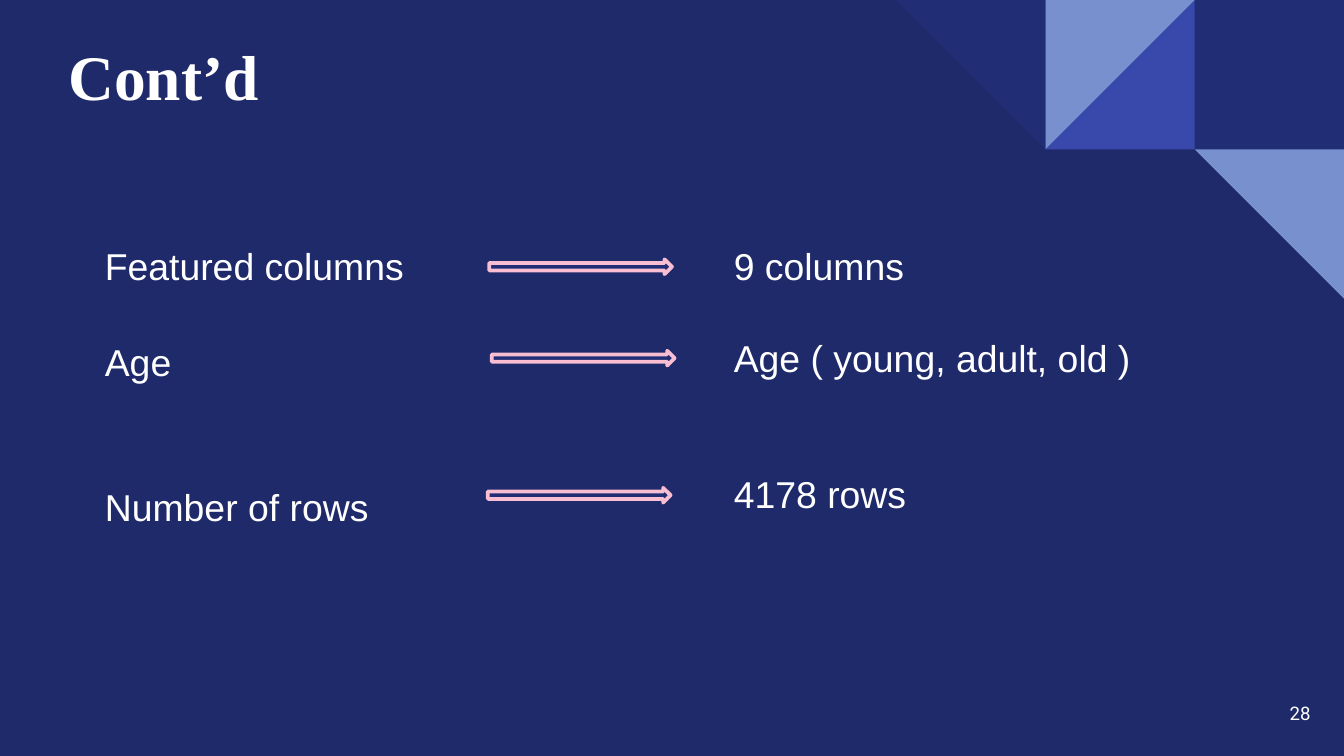
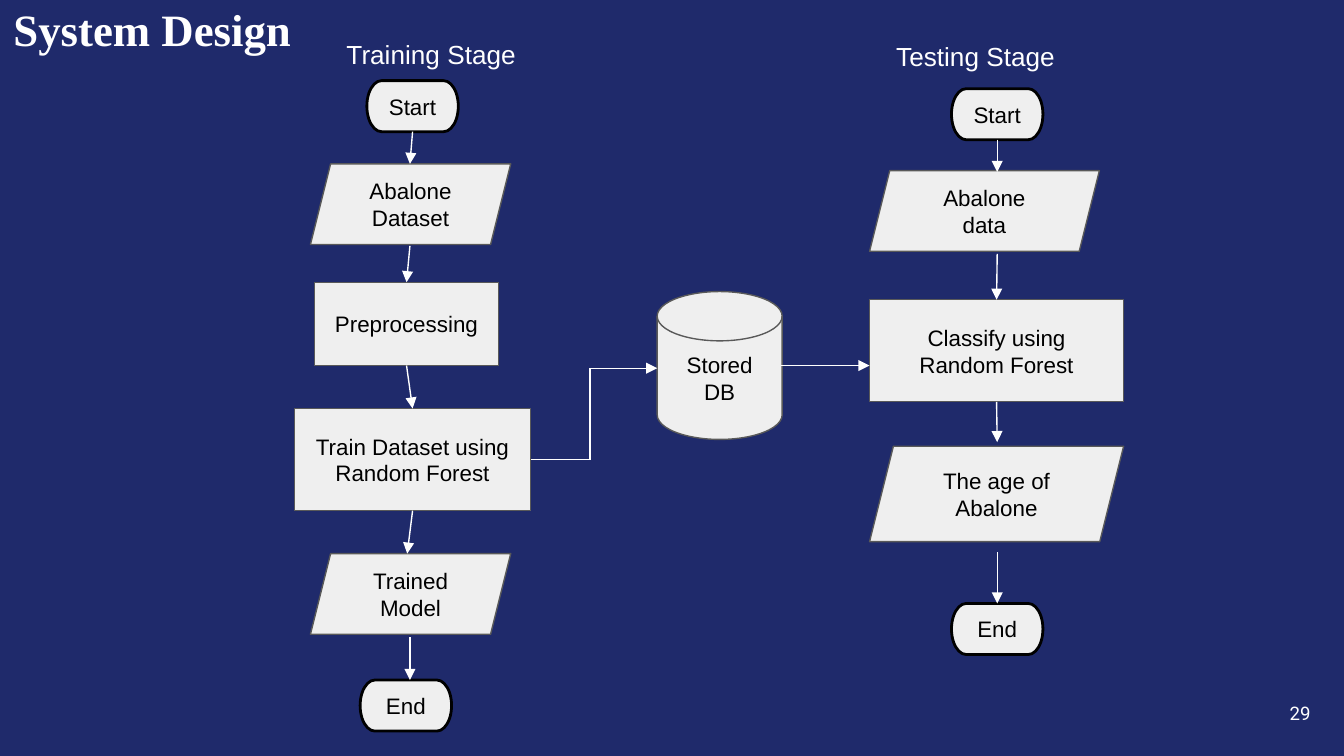
from dataclasses import dataclass
from typing import NamedTuple, Sequence

from lxml import etree
from pptx import Presentation
from pptx.dml.color import RGBColor
from pptx.enum.shapes import MSO_CONNECTOR, MSO_SHAPE
from pptx.enum.text import MSO_ANCHOR, MSO_AUTO_SIZE, PP_ALIGN
from pptx.oxml.ns import qn
from pptx.shapes.autoshape import Shape
from pptx.slide import Slide
from pptx.text.text import TextFrame
from pptx.util import Emu, Inches, Pt

SLIDE_WIDTH, SLIDE_HEIGHT = Inches(10), Inches(5.625)
GRID_COLUMNS = 100
CELL = SLIDE_WIDTH / GRID_COLUMNS

NAVY = RGBColor(0x1F, 0x2A, 0x6B)
INDIGO = RGBColor(0x21, 0x2D, 0x74)
BLUE = RGBColor(0x39, 0x49, 0xAB)
SKY = RGBColor(0x78, 0x90, 0xCD)
PINK = RGBColor(0xF9, 0xBE, 0xD2)
PALE = RGBColor(0xEF, 0xEF, 0xEF)
GREY = RGBColor(0x59, 0x59, 0x59)
BLACK = RGBColor(0, 0, 0)
WHITE = RGBColor(0xFF, 0xFF, 0xFF)

SANS, SERIF, NUMERAL = "Arial", "Times New Roman", "Roboto"
TWO_CONTENT_LAYOUT, TITLE_LAYOUT = 3, 5

LEFT, CENTER, RIGHT = PP_ALIGN.LEFT, PP_ALIGN.CENTER, PP_ALIGN.RIGHT
ANCHOR_TOP, ANCHOR_MIDDLE = MSO_ANCHOR.TOP, MSO_ANCHOR.MIDDLE
NO_AUTOFIT = MSO_AUTO_SIZE.NONE
STRAIGHT = MSO_CONNECTOR.STRAIGHT
RECTANGLE = MSO_SHAPE.RECTANGLE
TRIANGLE = MSO_SHAPE.RIGHT_TRIANGLE
ARROW = MSO_SHAPE.RIGHT_ARROW
SLANTED = MSO_SHAPE.PARALLELOGRAM
TERMINATOR = MSO_SHAPE.FLOWCHART_TERMINATOR
DISK = MSO_SHAPE.FLOWCHART_MAGNETIC_DISK
TOP_SIDE, BOTTOM_SIDE, RIGHT_SIDE = 0, 2, 3


class Box(NamedTuple):
    column: float
    row: float
    columns: float
    rows: float


class Point(NamedTuple):
    column: float
    row: float


class Joint(NamedTuple):
    node: str
    side: int


class Insets(NamedTuple):
    left: float = 1
    top: float = 1
    right: float = 1
    bottom: float = 1


@dataclass(frozen=True)
class Tile:
    column: int
    row: int
    color: RGBColor
    kind: MSO_SHAPE = TRIANGLE
    rotation: int = 0
    flipped: bool = False


@dataclass(frozen=True)
class Node:
    name: str
    kind: MSO_SHAPE
    box: Box
    lines: tuple[str, ...]


@dataclass(frozen=True)
class Link:
    start: Point | Joint
    end: Point | Joint
    arrow: bool = True


TILE_SIZE = 11.11
TILES = (
    Tile(2, 0, INDIGO, RECTANGLE),
    Tile(1, 0, BLUE, flipped=True),
    Tile(1, 0, SKY, rotation=180, flipped=True),
    Tile(0, 0, INDIGO, rotation=180),
    Tile(2, 1, SKY, rotation=180),
)

FEATURES = ("Featured columns", "Age", "Number of rows")
VALUES = ("9 columns", "Age ( young, adult, old )", "4178 rows")
FEATURE_ARROWS = (Point(36.4, 19.3), Point(36.6, 26.1), Point(36.3, 36.3))

STAGES = (("Training Stage", Point(24.8, 2.4)), ("Testing Stage", Point(65.7, 2.5)))

NODES = (
    Node("training start", TERMINATOR, Box(27.3, 6, 6.8, 3.8), ("Start",)),
    Node("dataset", SLANTED, Box(23.1, 12.2, 14.9, 6), ("Abalone Dataset",)),
    Node("preprocessing", RECTANGLE, Box(23.4, 21, 13.7, 6.2), ("Preprocessing",)),
    Node("train", RECTANGLE, Box(21.9, 30.4, 17.6, 7.6), ("Train Dataset using Random Forest",)),
    Node("model", SLANTED, Box(23.1, 41.2, 14.9, 6), ("Trained Model",)),
    Node("training end", TERMINATOR, Box(26.8, 50.6, 6.8, 3.8), ("End",)),
    Node("store", DISK, Box(48.9, 21.7, 9.3, 11), ("Stored DB",)),
    Node("testing start", TERMINATOR, Box(70.8, 6.6, 6.8, 3.8), ("Start",)),
    Node("data", SLANTED, Box(64.7, 12.7, 17.1, 6), ("Abalone", "data")),
    Node("classify", RECTANGLE, Box(64.7, 22.3, 18.9, 7.6), ("Classify using Random Forest",)),
    Node("age", SLANTED, Box(64.7, 33.2, 18.9, 7.1), ("The age of Abalone",)),
    Node("testing end", TERMINATOR, Box(70.8, 44.9, 6.8, 3.8), ("End",)),
)

LINKS = (
    Link(Joint("training start", BOTTOM_SIDE), Point(30.5, 12.2)),
    Link(Point(30.5, 18.3), Joint("preprocessing", TOP_SIDE)),
    Link(Joint("preprocessing", BOTTOM_SIDE), Joint("train", TOP_SIDE)),
    Link(Joint("train", BOTTOM_SIDE), Point(30.3, 41.2)),
    Link(Point(30.5, 47.4), Point(30.5, 50.6)),
    Link(Joint("train", RIGHT_SIDE), Point(43.9, 34.2), arrow=False),
    Link(Point(43.9, 34.2), Point(43.9, 27.4), arrow=False),
    Link(Point(43.9, 27.4), Point(48.9, 27.4)),
    Link(Point(58.1, 27.2), Point(64.7, 27.2)),
    Link(Joint("testing start", BOTTOM_SIDE), Point(74.2, 12.8)),
    Link(Point(74.2, 18.9), Joint("classify", TOP_SIDE)),
    Link(Joint("classify", BOTTOM_SIDE), Point(74.2, 32.9)),
    Link(Point(74.2, 41.1), Joint("testing end", TOP_SIDE)),
)


def cells(count: float) -> Emu:
    return Emu(round(count * CELL))


def place(shape: Shape, box: Box) -> None:
    shape.left, shape.top, shape.width, shape.height = map(cells, box)


def write(
    frame: TextFrame,
    lines: Sequence[str],
    *,
    size: float,
    font: str = SANS,
    color: RGBColor = WHITE,
    bold: bool = False,
    align: PP_ALIGN = LEFT,
    anchor: MSO_ANCHOR = ANCHOR_MIDDLE,
    insets: Insets = Insets(),
    gaps: Sequence[float] = (),
) -> None:
    frame.word_wrap = True
    frame.auto_size = NO_AUTOFIT
    frame.vertical_anchor = anchor
    frame.margin_left, frame.margin_top, frame.margin_right, frame.margin_bottom = map(cells, insets)
    for index, line in enumerate(lines):
        para = frame.add_paragraph() if index else frame.paragraphs[0]
        para.alignment = align
        para.line_spacing = 1.0
        para.space_before = Pt(gaps[index - 1] if index and gaps else 0)
        para.space_after = Pt(0)
        span = para.add_run()
        span.text = line
        span.font.size = Pt(size)
        span.font.name = font
        span.font.bold = bold
        span.font.color.rgb = color


def add_shape(
    shapes, kind: MSO_SHAPE, box: Box, fill: RGBColor, line: RGBColor | None = None, weight: float = 0.75
) -> Shape:
    shape = shapes.add_shape(kind, *map(cells, box))
    shape.shadow.inherit = False
    shape.fill.solid()
    shape.fill.fore_color.rgb = fill
    if line is None:
        shape.line.fill.background()
    else:
        shape.line.color.rgb = line
        shape.line.width = Pt(weight)
    return shape


def add_label(page: Slide, box: Box, text: str, **style) -> None:
    write(page.shapes.add_textbox(*map(cells, box)).text_frame, [text], **style)


def add_page(deck, layout: int, title: str, number: int, box: Box, size: float, insets: Insets) -> Slide:
    page = deck.slides.add_slide(deck.slide_layouts[layout])
    place(page.shapes.title, box)
    write(page.shapes.title.text_frame, [title], size=size, font=SERIF, bold=True, insets=insets)
    add_label(page, Box(92.5, 50.9, 6, 4.3), str(number), size=10, font=NUMERAL, align=RIGHT)
    return page


def add_tiles(page: Slide) -> None:
    group = page.shapes.add_group_shape()
    first_column = GRID_COLUMNS - 3 * TILE_SIZE
    for tile in TILES:
        box = Box(first_column + tile.column * TILE_SIZE, tile.row * TILE_SIZE, TILE_SIZE, TILE_SIZE)
        shape = add_shape(group.shapes, tile.kind, box, tile.color)
        shape.rotation = tile.rotation
        if tile.flipped:
            shape._element.spPr.find(qn("a:xfrm")).set("flipH", "1")


def fill_list(body: Shape, box: Box, lines: Sequence[str], top: float, gaps: Sequence[float]) -> None:
    place(body, box)
    write(body.text_frame, lines, size=20, anchor=ANCHOR_TOP, insets=Insets(1, top, 1, 0.5), gaps=gaps)
    for para in body.text_frame.paragraphs:
        properties = para._p.get_or_add_pPr()
        properties.set("marL", "0")
        properties.set("indent", "0")
        etree.SubElement(properties, qn("a:buNone"))


def add_node(page: Slide, node: Node) -> Shape:
    rounded = node.kind == TERMINATOR
    line, weight = (BLACK, 1.5) if rounded else (GREY, 0.75)
    shape = add_shape(page.shapes, node.kind, node.box, PALE, line, weight)
    write(shape.text_frame, node.lines, size=12, color=BLACK, align=CENTER)
    return shape


def add_link(page: Slide, link: Link, nodes: dict[str, Shape]) -> None:
    start = link.start if isinstance(link.start, Point) else Point(0, 0)
    end = link.end if isinstance(link.end, Point) else Point(0, 0)
    connector = page.shapes.add_connector(STRAIGHT, *map(cells, start + end))
    if isinstance(link.start, Joint):
        connector.begin_connect(nodes[link.start.node], link.start.side)
    if isinstance(link.end, Joint):
        connector.end_connect(nodes[link.end.node], link.end.side)
    connector.line.color.rgb = WHITE
    connector.line.width = Pt(0.75)
    if link.arrow:
        etree.SubElement(connector.line._get_or_add_ln(), qn("a:tailEnd"), type="triangle")
    etree.SubElement(connector._element.spPr, qn("a:effectLst"))


def build_features(deck) -> None:
    page = add_page(deck, TWO_CONTENT_LAYOUT, "Cont’d", 28, Box(4.1, 1, 75.4, 9.2), 34, Insets())
    add_tiles(page)
    fill_list(page.placeholders[1], Box(6.8, 10.6, 45.4, 36.9), FEATURES, 7.5, (27.4, 53.6))
    fill_list(page.placeholders[2], Box(53.6, 17.6, 45.4, 30.7), VALUES, 0.5, (25.2, 48.8))
    for point in FEATURE_ARROWS:
        add_shape(page.shapes, ARROW, Box(*point, 13.6, 1.1), INDIGO, PINK, 2)


def build_system_design(deck) -> None:
    page = add_page(deck, TITLE_LAYOUT, "System Design", 29, Box(0, 0.9, 73, 7.5), 24, Insets(bottom=6))
    nodes = {node.name: add_node(page, node) for node in NODES}
    for link in LINKS:
        add_link(page, link, nodes)
    for name, point in STAGES:
        add_label(page, Box(*point, 15, 3.4), name, size=14, anchor=ANCHOR_TOP, insets=Insets(1, 0.5, 1, 0.5))


def main() -> None:
    deck = Presentation()
    deck.slide_width, deck.slide_height = SLIDE_WIDTH, SLIDE_HEIGHT
    background = deck.slide_master.background.fill
    background.solid()
    background.fore_color.rgb = NAVY
    build_features(deck)
    build_system_design(deck)
    deck.save("out.pptx")


if __name__ == "__main__":
    main()
